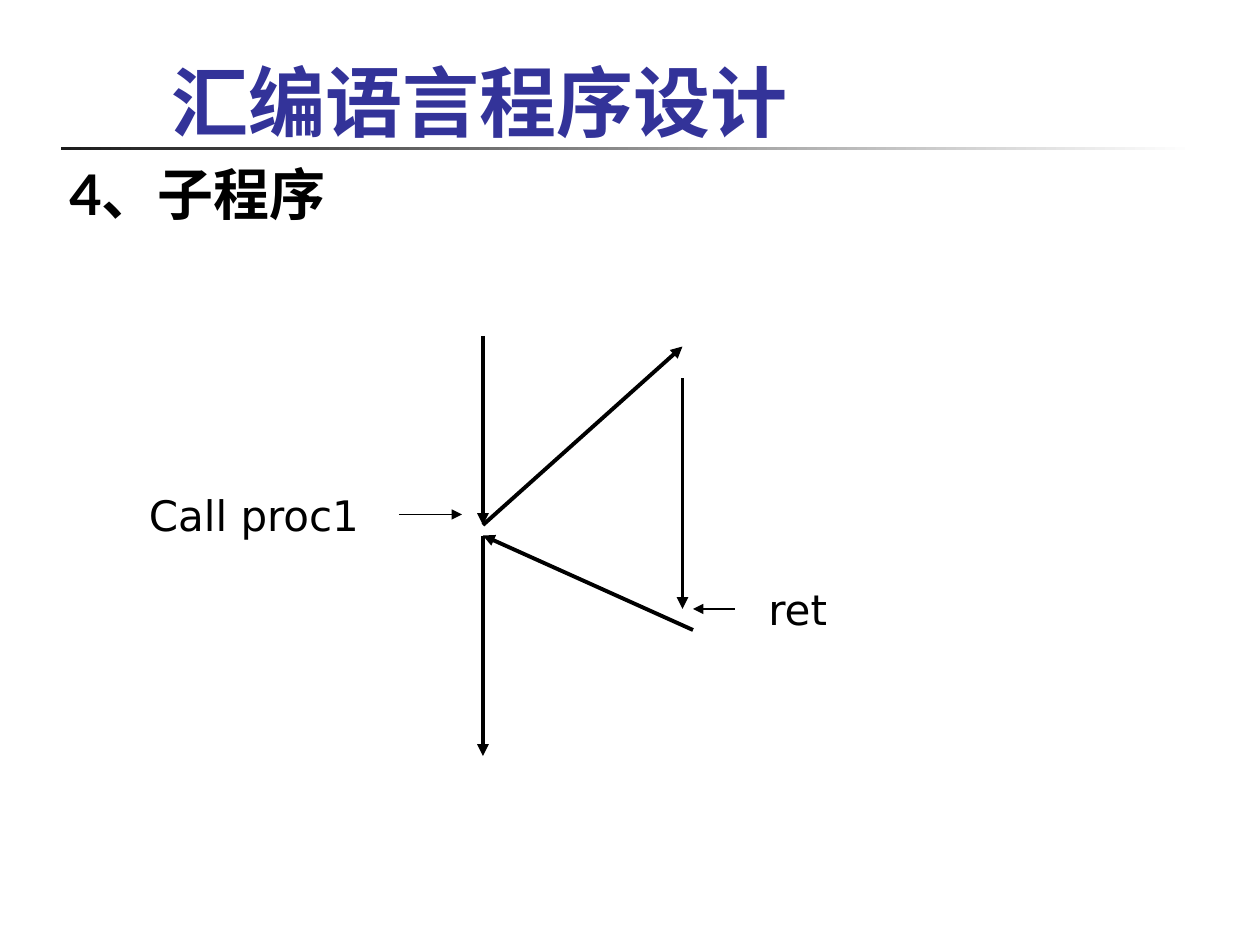
"""Build the slide on subroutines with its call and return flow diagram."""
from lxml import etree
from pptx import Presentation
from pptx.dml.color import RGBColor
from pptx.enum.shapes import MSO_CONNECTOR, MSO_SHAPE
from pptx.enum.text import MSO_ANCHOR, MSO_AUTO_SIZE, PP_ALIGN
from pptx.oxml.ns import qn
from pptx.util import Pt

STRAIGHT = MSO_CONNECTOR.STRAIGHT
RECTANGLE = MSO_SHAPE.RECTANGLE
BOTTOM, TOP = MSO_ANCHOR.BOTTOM, MSO_ANCHOR.TOP
FIXED, GROW = MSO_AUTO_SIZE.NONE, MSO_AUTO_SIZE.SHAPE_TO_FIT_TEXT
LEFT = PP_ALIGN.LEFT
COLORS = {"title": "333399", "text": "000000", "rule_start": "1C1C1C", "rule_end": "FFFFFF"}


def place_text(shape, box, text, font_name, size, color, bold, space_before, anchor, auto_size):
    shape.left, shape.top, shape.width, shape.height = (Pt(length) for length in box)
    frame = shape.text_frame
    frame.text = text
    frame.word_wrap = True
    frame.auto_size = auto_size
    frame.vertical_anchor = anchor
    paragraph = frame.paragraphs[0]
    paragraph.alignment = LEFT
    paragraph.space_before = Pt(space_before)
    run = paragraph.runs[0]
    run.font.name = font_name
    run.font.size = Pt(size)
    run.font.bold = bold
    run.font.color.rgb = RGBColor.from_string(COLORS[color])
    east_asian = etree.SubElement(run.font._element, qn("a:ea"))
    east_asian.set("typeface", font_name)
    return paragraph


presentation = Presentation()
presentation.slide_width, presentation.slide_height = Pt(720), Pt(540)
slide = presentation.slides.add_slide(presentation.slide_layouts[1])
title, body = slide.placeholders

rule = slide.shapes.add_shape(RECTANGLE, Pt(34.8), Pt(83.8), Pt(648), Pt(2.2))
rule.shadow.inherit = False
rule.line.fill.background()
rule.fill.gradient()
rule.fill.gradient_angle = 0
for stop, name in zip(rule.fill.gradient_stops, ("rule_start", "rule_end")):
    stop.color.rgb = RGBColor.from_string(COLORS[name])

place_text(title, (90.6, 15.8, 613.4, 72), "汇编语言程序设计", "Lato", 44, "title", True, 0, BOTTOM, FIXED)
heading = place_text(body, (32.4, 87.8, 656, 394), "4、子程序", "Lato", 32, "text", True, 8, TOP, FIXED)
properties = heading._p.get_or_add_pPr()
properties.set("marL", "0")
properties.set("indent", "0")
etree.SubElement(properties, qn("a:buNone"))

for text, box in (("Call proc1", (78, 276, 138, 36)), ("ret", (432, 330, 72, 36))):
    label = slide.shapes.add_textbox(0, 0, 0, 0)
    place_text(label, box, text, "DejaVu Sans", 24, "text", False, 15, TOP, GROW)

main_x, procedure_x = 276, 390
call_y, return_y = 300, 306
arrows = [
    (main_x, 192, main_x, call_y, 2.25),
    (main_x, return_y, main_x, 432, 2.25),
    (main_x, call_y, procedure_x, 198, 2.25),
    (procedure_x, 216, procedure_x, 348, 2.25),
    (396, 360, main_x, return_y, 2.25),
    (228, 294, 264, 294, 0.75),
    (420, 348, 396, 348, 0.75),
]
for *ends, width in arrows:
    arrow = slide.shapes.add_connector(STRAIGHT, *(Pt(length) for length in ends))
    arrow.line.color.rgb = RGBColor.from_string(COLORS["text"])
    arrow.line.width = Pt(width)
    etree.SubElement(arrow.line._get_or_add_ln(), qn("a:tailEnd")).set("type", "triangle")
    etree.SubElement(arrow._element.spPr, qn("a:effectLst"))

presentation.save("out.pptx")
